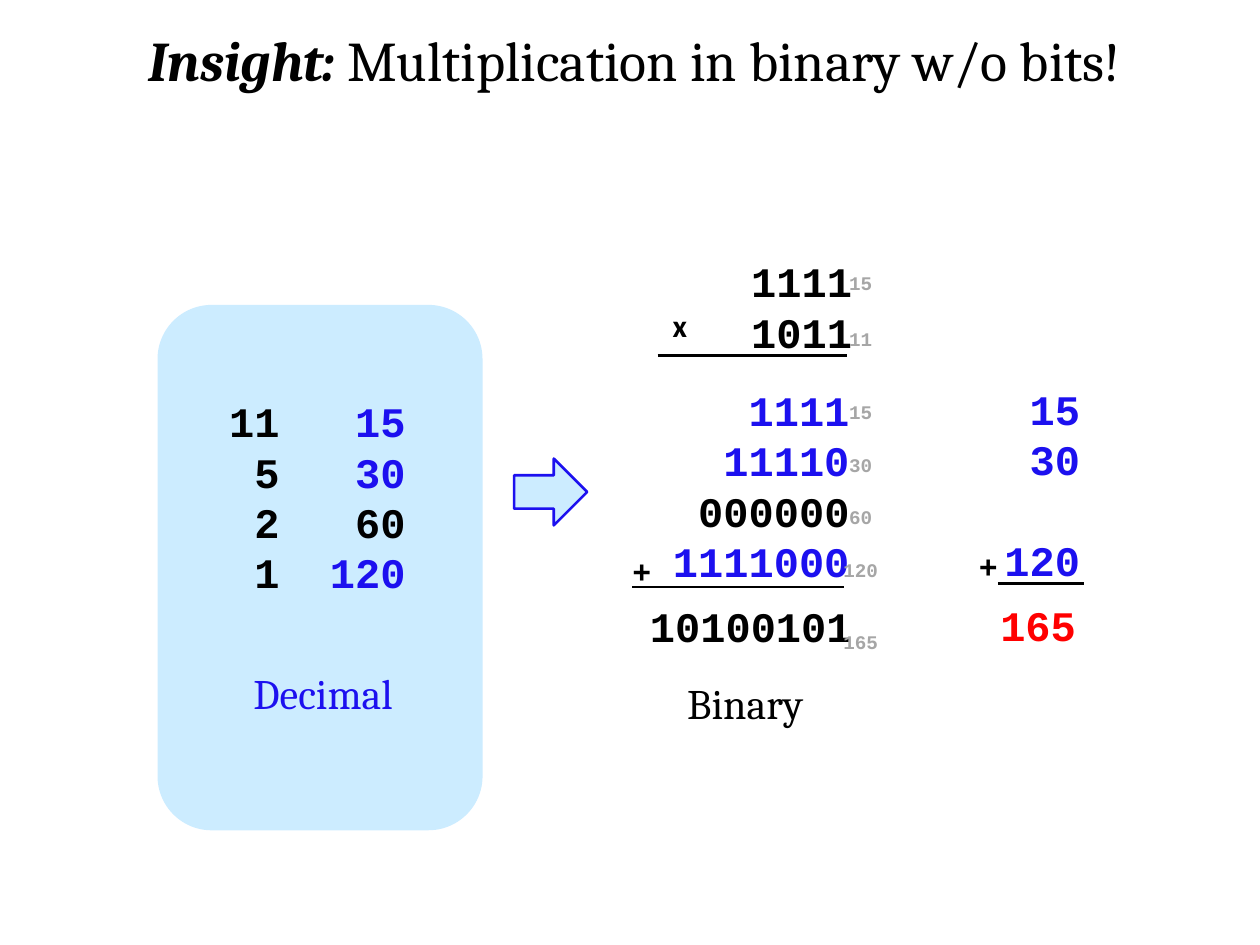
from dataclasses import dataclass
from typing import NamedTuple

from lxml import etree
from pptx import Presentation
from pptx.dml.color import RGBColor
from pptx.enum.shapes import MSO_CONNECTOR, MSO_SHAPE
from pptx.enum.text import MSO_ANCHOR, MSO_AUTO_SIZE, PP_ALIGN
from pptx.oxml.ns import qn
from pptx.util import Inches, Pt


@dataclass(frozen=True)
class Theme:
    black: RGBColor = RGBColor(0x00, 0x00, 0x00)
    blue: RGBColor = RGBColor(0x1C, 0x10, 0xEF)
    red: RGBColor = RGBColor(0xFF, 0x00, 0x00)
    gray: RGBColor = RGBColor(0xA6, 0xA6, 0xA6)
    pale: RGBColor = RGBColor(0xCC, 0xEC, 0xFF)
    serif: str = "Cambria"
    mono: str = "Courier New"
    sans: str = "Calibri"
    title: float = 32
    body: float = 24
    sign: float = 18
    note: float = 11
    row_pitch: float = 28.8
    rule: float = 1.5


THEME = Theme()


class Run(NamedTuple):
    text: str
    color: RGBColor = THEME.black
    bold: bool = True
    italic: bool = False


class Row(NamedTuple):
    runs: list[Run]
    gap: float = 0


class Box(NamedTuple):
    left: float
    top: float
    width: float
    height: float

    def lengths(self):
        return [Inches(value) for value in self]


class Label(NamedTuple):
    text: str
    box: Box
    color: RGBColor = THEME.black
    font: str = THEME.mono


def write(frame, rows: list[Row], *, size: float, font: str = THEME.mono,
          align=PP_ALIGN.LEFT, wrap: bool = False, pitch: float | None = None,
          tabs: tuple[float, ...] = ()) -> None:
    """Fill a text frame; pitch is a fixed line height, tabs are right-aligned stops."""
    frame.auto_size = MSO_AUTO_SIZE.NONE
    frame.word_wrap = wrap
    frame.vertical_anchor = MSO_ANCHOR.TOP
    frame.margin_left = frame.margin_right = Inches(0.1)
    frame.margin_top = Inches(0.1 if pitch else 0.05)
    frame.margin_bottom = Inches(0 if pitch else 0.05)
    for index, row in enumerate(rows):
        paragraph = frame.add_paragraph() if index else frame.paragraphs[0]
        paragraph.alignment = align
        paragraph.space_before = Pt(row.gap)
        if pitch:
            paragraph.line_spacing = Pt(pitch)
        if tabs:
            stops = etree.SubElement(paragraph._p.get_or_add_pPr(), qn("a:tabLst"))
            for stop in tabs:
                etree.SubElement(stops, qn("a:tab"), pos=str(Inches(stop)), algn="r")
        for part in row.runs:
            run = paragraph.add_run()
            run.text = part.text
            run.font.name = font
            run.font.size = Pt(size)
            run.font.bold = part.bold
            run.font.italic = part.italic
            run.font.color.rgb = part.color


def add_text(slide, box: Box, rows: list[Row], **text_format) -> None:
    write(slide.shapes.add_textbox(*box.lengths()).text_frame, rows, **text_format)


def add_numbers(slide, box: Box, rows: list[Row], **text_format) -> None:
    add_text(slide, box, rows, size=THEME.body, pitch=THEME.row_pitch, **text_format)


def add_shape(slide, kind, box: Box, outline: RGBColor | None = None) -> None:
    shape = slide.shapes.add_shape(kind, *box.lengths())
    shape.shadow.inherit = False
    shape.fill.solid()
    shape.fill.fore_color.rgb = THEME.pale
    if outline is None:
        shape.line.fill.background()
    else:
        shape.line.color.rgb = outline
        shape.line.width = Pt(THEME.rule)


def add_sum_rule(slide, start: float, end: float, y: float) -> None:
    rule = slide.shapes.add_connector(
        MSO_CONNECTOR.STRAIGHT, Inches(start), Inches(y), Inches(end), Inches(y))
    rule.line.color.rgb = THEME.black
    rule.line.width = Pt(THEME.rule)
    etree.SubElement(rule._element.spPr, qn("a:effectLst"))


HALVING = [("11", "15", THEME.blue), ("5", "30", THEME.blue),
           ("2", "60", THEME.black), ("1", "120", THEME.blue)]
PRODUCTS = [("1111", THEME.blue), ("11110", THEME.blue),
            ("000000", THEME.black), ("1111000", THEME.blue)]
RULES = [(5.22, 6.72, 2.82), (5.02, 6.7, 4.66), (7.92, 8.6, 4.63)]
SIGNS = [
    Label("+", Box(4.92, 4.33, 0.35, 0.4)),
    Label("x", Box(5.24, 2.38, 0.32, 0.4), font=THEME.sans),
    Label("+", Box(7.67, 4.29, 0.35, 0.4)),
]
TOTALS = [
    Label("10100101", Box(5.06, 4.67, 1.81, 0.5)),
    Label("165", Box(7.84, 4.66, 0.81, 0.5), THEME.red),
]
CAPTIONS = [
    Label("Decimal", Box(1.65, 5.25, 1.83, 0.51), THEME.blue),
    Label("Binary", Box(5, 5.33, 1.83, 0.51)),
]
# Decimal value, centre and top of each small note
NOTES = [("15", 6.83, 2.1), ("11", 6.83, 2.55), ("15", 6.83, 3.13), ("30", 6.83, 3.55),
         ("60", 6.83, 3.96), ("120", 6.83, 4.38), ("165", 6.83, 4.95)]


def build() -> None:
    deck = Presentation()
    deck.slide_width, deck.slide_height = Inches(10), Inches(7.5)
    slide = deck.slides.add_slide(deck.slide_layouts[5])

    title = slide.shapes.title
    title.left, title.top, title.width, title.height = Box(0.58, 0.15, 8.92, 0.64).lengths()
    write(title.text_frame,
          [Row([Run("Insight: ", italic=True),
                Run("Multiplication in binary w/o bits!", bold=False)])],
          size=THEME.title, font=THEME.serif, align=PP_ALIGN.CENTER, wrap=True)

    add_shape(slide, MSO_SHAPE.ROUNDED_RECTANGLE, Box(1.25, 2.42, 2.58, 4.17))
    add_shape(slide, MSO_SHAPE.RIGHT_ARROW, Box(4.08, 3.64, 0.58, 0.53), THEME.blue)

    add_numbers(slide, Box(1.72, 3.04, 1.61, 2.46),
                [Row([Run(f"\t{half}"), Run(f"\t{double}", color)])
                 for half, double, color in HALVING],
                tabs=(0.4, 1.4), wrap=True)
    add_numbers(slide, Box(5.25, 1.93, 1.61, 0.91),
                [Row([Run("1111")]), Row([Run("1011")])], align=PP_ALIGN.RIGHT, wrap=True)
    add_numbers(slide, Box(3.44, 2.95, 3.4, 1.72),
                [Row([Run(bits, color)]) for bits, color in PRODUCTS],
                align=PP_ALIGN.RIGHT, wrap=True)
    add_numbers(slide, Box(7.86, 2.94, 0.81, 2.05),
                [Row([Run("15", THEME.blue)]), Row([Run("30", THEME.blue)]),
                 Row([Run("120", THEME.blue)], gap=THEME.row_pitch)],
                align=PP_ALIGN.RIGHT, wrap=True)

    for total in TOTALS:
        add_numbers(slide, total.box, [Row([Run(total.text, total.color)])])
    for start, end, y in RULES:
        add_sum_rule(slide, start, end, y)
    for sign in SIGNS:
        add_text(slide, sign.box, [Row([Run(sign.text)])], size=THEME.sign, font=sign.font)
    for value, center, top in NOTES:
        width = 0.2 + 0.09 * len(value)
        add_text(slide, Box(center - width / 2, top, width, 0.29),
                 [Row([Run(value, THEME.gray)])], size=THEME.note)
    for caption in CAPTIONS:
        add_text(slide, caption.box, [Row([Run(caption.text, caption.color, bold=False)])],
                 size=THEME.body, font=THEME.serif, align=PP_ALIGN.CENTER, wrap=True)

    deck.save("out.pptx")


if __name__ == "__main__":
    build()
